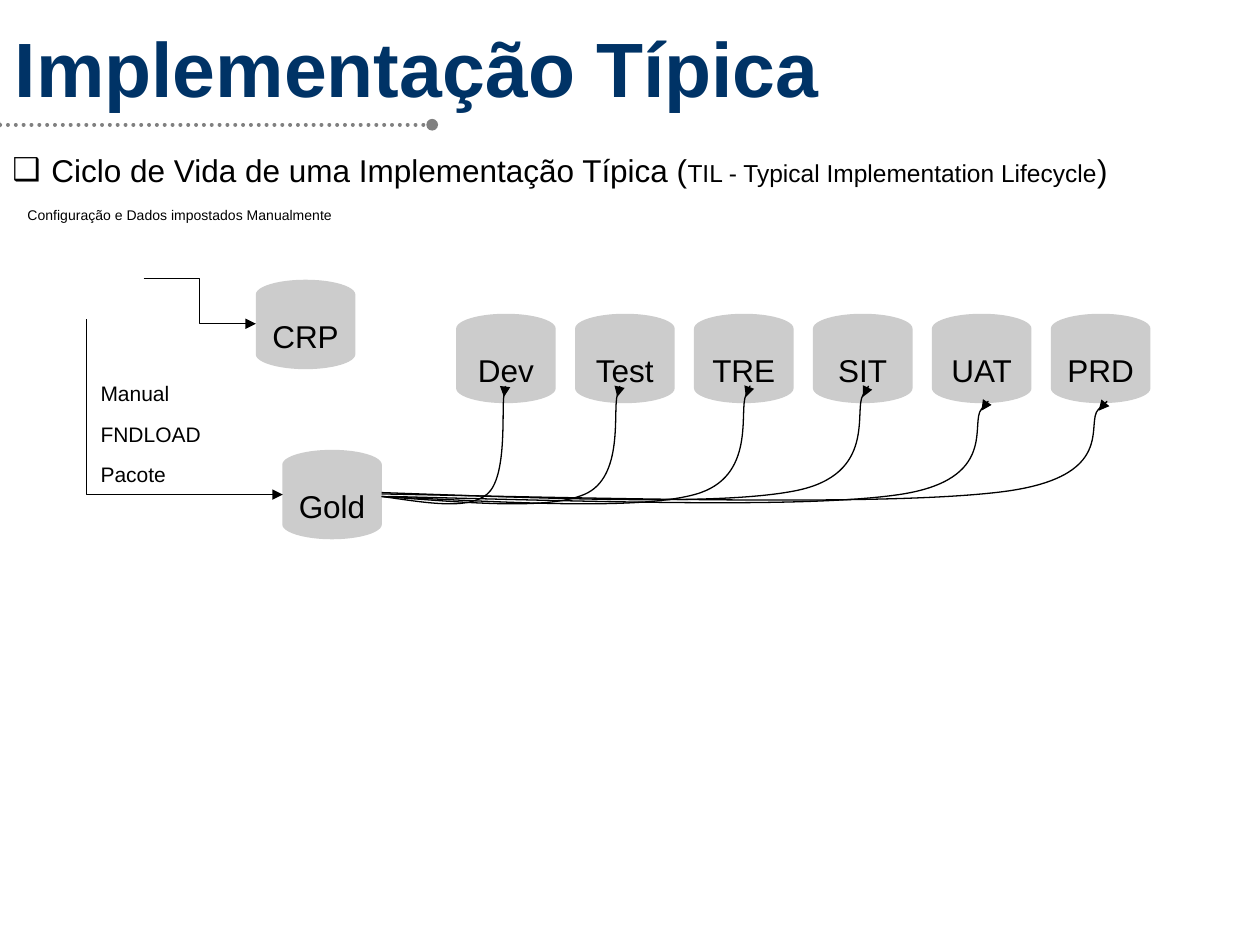
from lxml.etree import SubElement
from pptx import Presentation
from pptx.dml.color import RGBColor
from pptx.enum.dml import MSO_LINE
from pptx.enum.shapes import MSO_CONNECTOR, MSO_SHAPE
from pptx.enum.text import MSO_ANCHOR, PP_ALIGN
from pptx.oxml.ns import qn
from pptx.util import Inches, Pt

NAVY, GREY, SILVER, BLACK = "003366", "808080", "CCCCCC", "000000"
DISK_WIDTH, DISK_HEIGHT = 0.79, 0.71
ENVIRONMENTS = ["Dev", "Test", "TRE", "SIT", "UAT", "PRD"]
ARROW_TIPS = [(4, 3.15), (4.9, 3.15), (5.92, 3.15), (6.85, 3.15), (7.79, 3.26), (8.72, 3.26)]
ARROW_STARTS = [(3.03, 3.94), (3.03, 3.94), (3.03, 3.94), (3.03, 3.91), (3.08, 3.94), (3.03, 3.92)]
CURVE = [
    (0.35, -0.06), (0.7, -0.14), (0.86, 0.02),
    (1.03, 0.19), (0.98, 0.86), (1, 1.02),
    (1.02, 1.18), (1, 1), (1, 1),
]


def color(value):
    return RGBColor.from_string(value)


def apply(target, values):
    for name, value in values.items():
        setattr(target, name, value)


def write(paragraph, runs, alignment, ink=BLACK, bold=False, gap=0):
    apply(paragraph, {"alignment": alignment, "line_spacing": 1.2, "space_after": Pt(gap)})
    for text, size in runs:
        run = paragraph.add_run()
        run.text = text
        apply(run.font, {"name": "Arial", "size": Pt(size), "bold": bold})
        run.font.color.rgb = color(ink)


def add_text(slide, box, lines, **style):
    frame = slide.shapes.add_textbox(*map(Inches, box)).text_frame
    frame.word_wrap = True
    for index, runs in enumerate(lines):
        paragraph = frame.add_paragraph() if index else frame.paragraphs[0]
        write(paragraph, runs, PP_ALIGN.JUSTIFY, **style)
    return frame


def style_line(shape, ink=BLACK, width=0.75, dash=None, **ends):
    shape.line.color.rgb = color(ink)
    apply(shape.line, {"width": Pt(width), "dash_style": dash})
    outline = shape.line._get_or_add_ln()
    if dash:
        outline.set("cap", "rnd")
    for end, kind in ends.items():
        SubElement(outline, qn(f"a:{end}"), type=kind)


def add_connector(slide, kind, start, end, **style):
    connector = slide.shapes.add_connector(kind, *map(Inches, (*start, *end)))
    style_line(connector, **style)
    SubElement(connector._element.spPr, qn("a:effectLst"))
    return connector


def add_disk(slide, left, top, label):
    disk = slide.shapes.add_shape(
        MSO_SHAPE.FLOWCHART_MAGNETIC_DISK, *map(Inches, (left, top, DISK_WIDTH, DISK_HEIGHT)))
    disk.shadow.inherit = False
    disk.fill.solid()
    disk.fill.fore_color.rgb = color(SILVER)
    disk.line.fill.background()
    disk.text_frame.vertical_anchor = MSO_ANCHOR.MIDDLE
    write(disk.text_frame.paragraphs[0], [(label, 18)], PP_ALIGN.CENTER)


def add_curve(slide, start, tip):
    span, rise = tip[0] - start[0], start[1] - tip[1]
    points = [(Inches(start[0] + x * span), Inches(start[1] - y * rise)) for x, y in CURVE]
    builder = slide.shapes.build_freeform(*map(Inches, start))
    builder.add_line_segments(points, close=False)
    curve = builder.convert_to_shape()
    segments = list(curve._element.iter(qn("a:lnTo")))
    for first in range(0, len(segments), 3):
        bezier = SubElement(segments[first].getparent(), qn("a:cubicBezTo"))
        for segment in segments[first:first + 3]:
            bezier.append(segment[0])
            segment.getparent().remove(segment)
    curve.shadow.inherit = False
    curve.fill.background()
    style_line(curve, tailEnd="triangle")


def add_heading(slide, left, top):
    add_text(slide, (left + 0.02, top - 0.03, 9, 1.25),
             [[("Implementação Típica", 44)]], ink=NAVY, bold=True)
    add_connector(slide, MSO_CONNECTOR.STRAIGHT, (left - 0.04, top + 0.99), (left + 3.43, top + 0.99),
                  ink=GREY, width=2.25, dash=MSO_LINE.ROUND_DOT, headEnd="oval", tailEnd="oval")


def add_subtitle(slide, box):
    frame = add_text(slide, box, [[
        ("Ciclo de Vida de uma Implementação Típica (", 18),
        ("TIL - Typical Implementation Lifecycle", 14),
        (")", 18),
    ]])
    properties = frame.paragraphs[0]._p.get_or_add_pPr()
    for name, value in {"marL": Inches(0.31), "indent": Inches(-0.31)}.items():
        properties.set(name, str(value))
    SubElement(properties, qn("a:buFont"), typeface="Arial")
    SubElement(properties, qn("a:buChar"), char="❑")


def add_sources(slide, left, top):
    add_disk(slide, left + 1.91, top + 0.66, "CRP")
    add_connector(slide, MSO_CONNECTOR.ELBOW, (left + 1.02, top + 0.65), (left + 1.91, top + 1.01),
                  tailEnd="triangle")
    add_text(slide, (left, top, 2.76, 0.26), [[("Configuração e Dados impostados Manualmente", 8)]])
    add_disk(slide, left + 2.12, top + 2.01, "Gold")
    add_text(slide, (left + 0.58, top + 1.37, 1.1, 0.71),
             [[(method, 12)] for method in ("Manual", "FNDLOAD", "Pacote")], gap=6)
    corner = add_connector(slide, MSO_CONNECTOR.ELBOW, (left + 2.04, top + 0.89), (left + 0.65, top + 2.45),
                           tailEnd="triangle")
    corner._element.spPr.find(qn("a:prstGeom")).set("prst", "bentConnector2")
    corner._element.spPr.find(qn("a:xfrm")).set("rot", str(270 * 60000))


def add_environments(slide, left, top, width):
    step = (width - DISK_WIDTH) / (len(ENVIRONMENTS) - 1)
    for index, name in enumerate(ENVIRONMENTS):
        add_disk(slide, left + index * step, top, name)
    for start, tip in zip(ARROW_STARTS, ARROW_TIPS):
        add_curve(slide, start, tip)


def main():
    presentation = Presentation()
    apply(presentation, {"slide_width": Inches(10), "slide_height": Inches(7.5)})
    slide = presentation.slides.add_slide(presentation.slide_layouts[6])
    add_heading(slide, 0, 0)
    add_subtitle(slide, (0, 1.09, 9.8, 0.46))
    add_sources(slide, 0.12, 1.56)
    add_environments(slide, 3.62, 2.49, 5.51)
    presentation.save("out.pptx")


if __name__ == "__main__":
    main()
